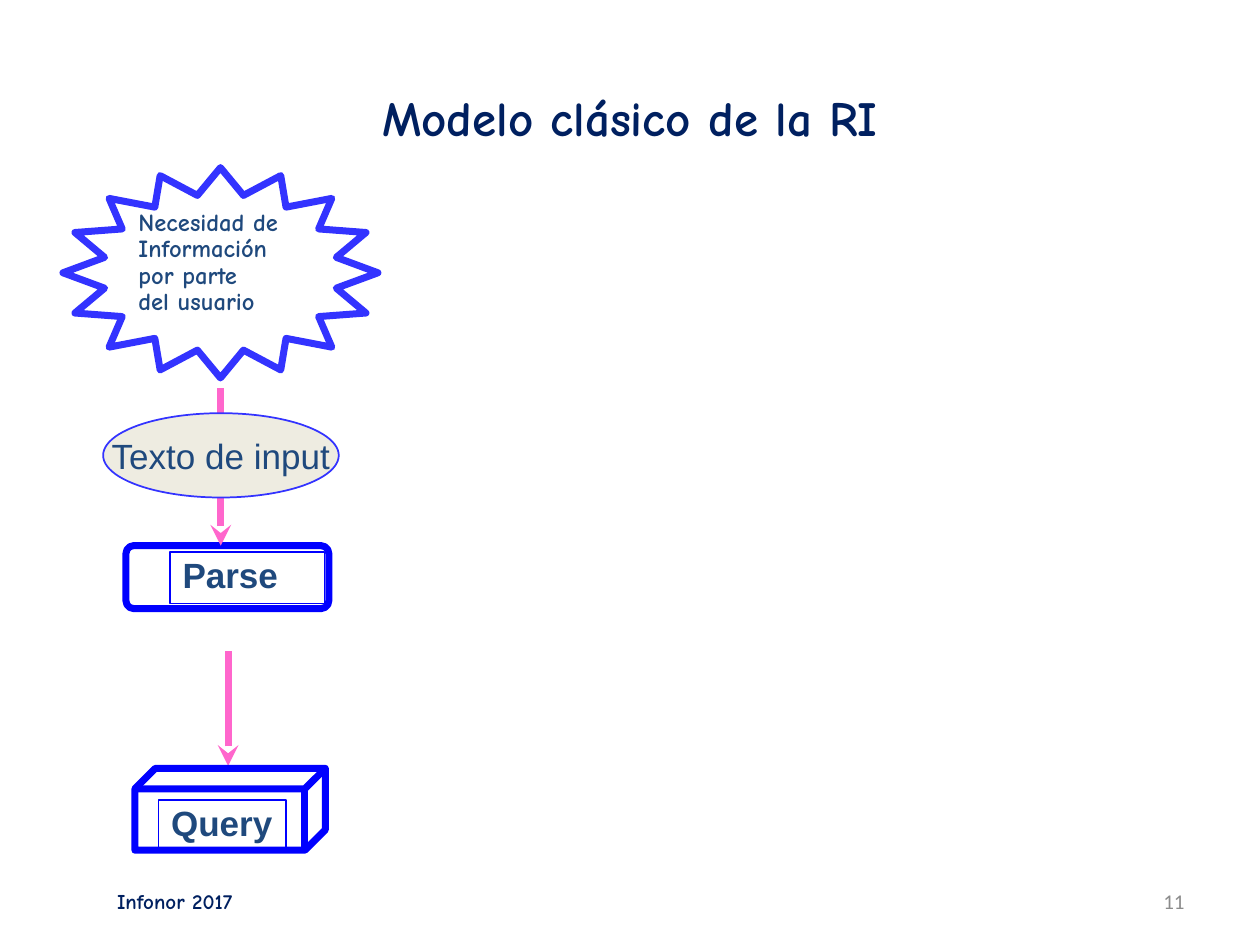
from dataclasses import dataclass
from typing import Optional

import pptx
import pptx.dml.color
import pptx.enum.shapes
import pptx.enum.text
import pptx.oxml
import pptx.oxml.ns
import pptx.util

Cm = pptx.util.Cm
SHAPE = pptx.enum.shapes.MSO_SHAPE
ALIGN = pptx.enum.text.PP_ALIGN
ANCHOR = pptx.enum.text.MSO_ANCHOR
FIT = pptx.enum.text.MSO_AUTO_SIZE

NAVY, SLATE, GREY = "002060", "1F497D", "8C8C8C"
BLUE, VIOLET, PINK, CREAM = "0000FF", "3333FF", "FF66CC", "EEECE1"


@dataclass
class Text:
    text: str
    size: float
    font: str
    color: str
    bold: bool = True
    align: Optional[pptx.enum.text.PP_ALIGN] = None
    anchor: pptx.enum.text.MSO_ANCHOR = ANCHOR.TOP
    spacing: Optional[float] = None
    wrap: bool = True
    grow: bool = False


@dataclass
class Box:
    left: float
    top: float
    width: float
    height: float
    text: Optional[Text] = None
    kind: Optional[pptx.enum.shapes.MSO_SHAPE] = None
    line: str = BLUE
    weight: float = 4
    fill: Optional[str] = None
    adjust: Optional[float] = None


@dataclass
class Arrow:
    x: float
    top: float
    tip: float


def rgb(color: str) -> pptx.dml.color.RGBColor:
    return pptx.dml.color.RGBColor.from_string(color)


def write(sp, t: Text) -> None:
    tf = sp.text_frame
    tf.text = t.text
    tf.word_wrap = t.wrap
    tf.vertical_anchor = t.anchor
    tf.auto_size = FIT.SHAPE_TO_FIT_TEXT if t.grow else FIT.NONE
    for p in tf.paragraphs:
        p.alignment = t.align or ALIGN.LEFT
        if t.spacing:
            p.line_spacing = t.spacing
        for r in p.runs:
            r.font.name = t.font
            r.font.size = pptx.util.Pt(t.size)
            r.font.bold = t.bold
            r.font.color.rgb = rgb(t.color)


def draw_box(shapes, b: Box) -> None:
    area = [Cm(v) for v in (b.left, b.top, b.width, b.height)]
    if b.kind is None:
        sp = shapes.add_textbox(*area)
    else:
        sp = shapes.add_shape(b.kind, *area)
        sp.shadow.inherit = False
        if b.adjust is not None:
            sp.adjustments[0] = b.adjust
        if b.fill:
            sp.fill.solid()
            sp.fill.fore_color.rgb = rgb(b.fill)
        else:
            sp.fill.background()
        sp.line.color.rgb = rgb(b.line)
        sp.line.width = pptx.util.Pt(b.weight)
    if b.text:
        write(sp, b.text)


def draw_arrow(shapes, a: Arrow) -> None:
    kind = pptx.enum.shapes.MSO_CONNECTOR.STRAIGHT
    cn = shapes.add_connector(kind, Cm(a.x), Cm(a.tip), Cm(a.x), Cm(a.top))
    cn.line.color.rgb = rgb(PINK)
    cn.line.width = pptx.util.Pt(4)
    head = pptx.oxml.parse_xml(f'<a:headEnd {pptx.oxml.ns.nsdecls("a")} type="stealth"/>')
    cn.line._get_or_add_ln().append(head)
    cn._element.spPr.append(pptx.oxml.parse_xml(f'<a:effectLst {pptx.oxml.ns.nsdecls("a")}/>'))


def draw_step(shapes, frame: Box, label: Box) -> None:
    group = shapes.add_group_shape()
    for b in (frame, label):
        draw_box(group.shapes, b)


def step_text(text: str, wrap: bool) -> Text:
    return Text(text, 20, "Arial", SLATE, spacing=0.9, wrap=wrap, grow=True)


def main() -> None:
    prs = pptx.Presentation()
    prs.slide_width, prs.slide_height = Cm(25.4), Cm(19.05)
    s = prs.slides.add_slide(prs.slide_layouts[5])
    shapes = s.shapes

    title = shapes.title
    title.left, title.top, title.width, title.height = Cm(1.27), Cm(0.76), Cm(22.86), Cm(3.18)
    write(title, Text("Modelo clásico de la RI", 28, "Comic Neue", NAVY,
                      align=ALIGN.CENTER, anchor=ANCHOR.MIDDLE))

    footer = Text("Infonor 2017", 12, "Comic Neue", NAVY, anchor=ANCHOR.MIDDLE)
    number = Text("11", 12, "Calibri", GREY, bold=False, align=ALIGN.RIGHT, anchor=ANCHOR.MIDDLE)
    need = Text("Necesidad de\nInformación\npor parte\ndel usuario", 14, "Comic Neue", SLATE,
                align=ALIGN.JUSTIFY, spacing=0.9, grow=True)
    source = Text("Texto de input", 20, "Arial", SLATE, bold=False,
                  align=ALIGN.CENTER, anchor=ANCHOR.MIDDLE, wrap=False)

    for b in (
        Box(2.11, 17.65, 5.92, 1.02, footer),
        Box(18.21, 17.65, 5.92, 1.02, number),
        Box(1.27, 3.38, 6.35, 4.24, kind=SHAPE.STAR_16_POINT, line=VIOLET, adjust=0.375),
        Box(2.54, 4.11, 4.75, 2.95, need),
    ):
        draw_box(shapes, b)

    draw_step(
        shapes,
        Box(2.54, 11, 4.09, 1.27, kind=SHAPE.ROUNDED_RECTANGLE, adjust=0.125),
        Box(3.43, 11.13, 3.12, 1.04, step_text("Parse", True), SHAPE.RECTANGLE, weight=0.75),
    )
    draw_arrow(shapes, Arrow(4.6, 13.13, 15.44))
    draw_step(
        shapes,
        Box(2.72, 15.49, 3.84, 1.65, kind=SHAPE.CUBE, adjust=0.25),
        Box(3.2, 16.13, 2.57, 1.04, step_text("Query", False), SHAPE.RECTANGLE, weight=0.75),
    )
    draw_arrow(shapes, Arrow(4.45, 7.82, 11))
    draw_box(shapes, Box(2.08, 8.33, 4.75, 1.7, source, SHAPE.OVAL, VIOLET, 1, CREAM))

    prs.save("out.pptx")


if __name__ == "__main__":
    main()
